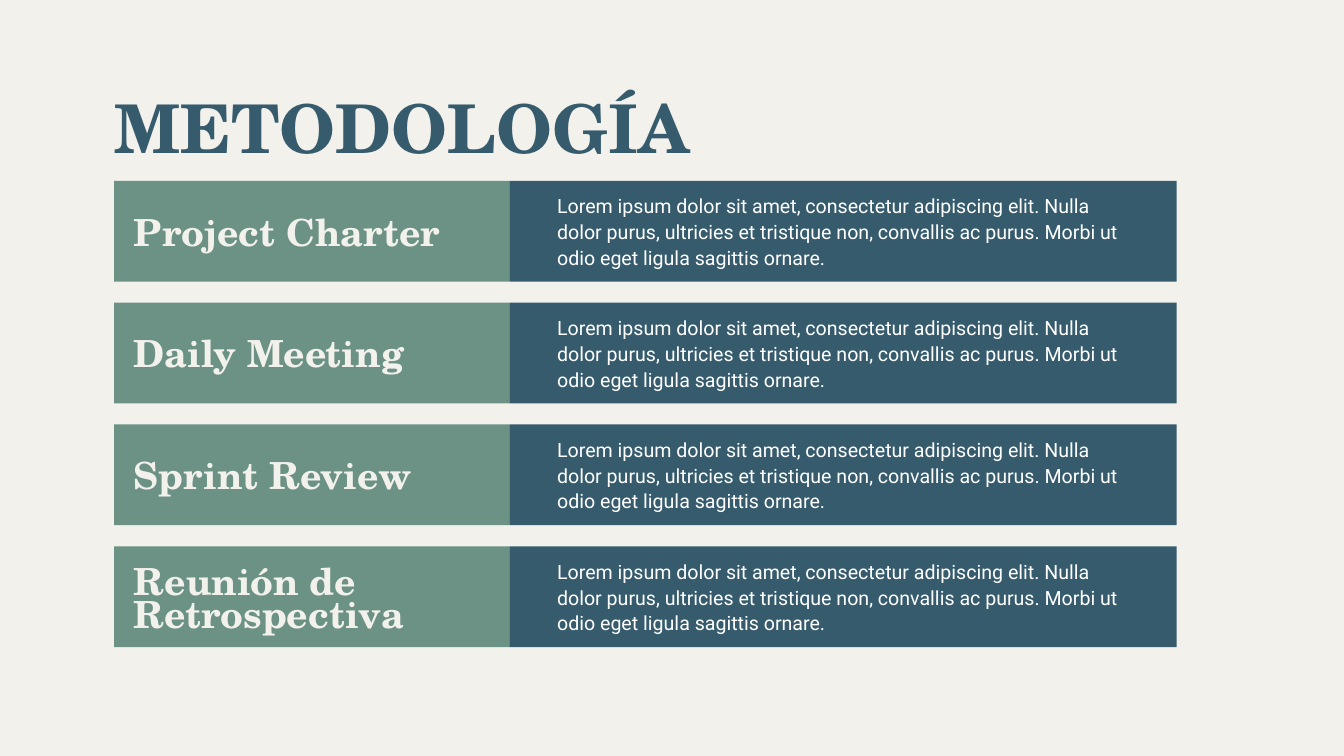
from pptx import Presentation
from pptx.dml.color import RGBColor
from pptx.enum.shapes import MSO_SHAPE
from pptx.enum.text import MSO_ANCHOR, MSO_AUTO_SIZE, PP_ALIGN
from pptx.util import Inches, Pt

CREAM, GREEN, BLUE, WHITE = "F2F1EC", "6C9286", "365B6D", "FFFFFF"
SERIF, SANS = "TeX Gyre Schola", "Roboto"

TITLE = dict(name=SERIF, size=Pt(72), bold=True)
LABEL = dict(name=SERIF, size=Pt(40), bold=True)
BODY = dict(name=SANS, size=Pt(21), bold=False)

# Row grid: left edge, top of the first row, distance between rows
LEFT, TOP, PITCH, ROW_H = 1.7, 2.69, 1.813, 1.5
LABEL_W, BODY_W = 5.88, 9.93

LOREM = ("Lorem ipsum dolor sit amet, consectetur adipiscing elit. Nulla dolor "
         "purus, ultricies et tristique non, convallis ac purus. Morbi ut odio "
         "eget ligula sagittis ornare.")
# Label, its offset from the row top, its height
ROWS = [
    ("Project Charter", 0.59, 0.54),
    ("Daily Meeting", 0.59, 0.54),
    ("Sprint Review", 0.59, 0.54),
    ("Reunión de Retrospectiva", 0.35, 1.03),
]


def rgb(value):
    return RGBColor.from_string(value)


def write(sp, text, font, color, spacing):
    tf = sp.text_frame
    frame = dict(word_wrap=True, auto_size=MSO_AUTO_SIZE.NONE,
                 vertical_anchor=MSO_ANCHOR.TOP, margin_left=0,
                 margin_top=0, margin_right=0, margin_bottom=0)
    for key, value in frame.items():
        setattr(tf, key, value)
    p = tf.paragraphs[0]
    p.alignment = PP_ALIGN.LEFT
    p.line_spacing = Pt(spacing)
    r = p.add_run()
    r.text = text
    for key, value in font.items():
        setattr(r.font, key, value)
    r.font.color.rgb = rgb(color)


def add_title(s, text):
    sp = s.shapes.title
    place = dict(left=LEFT, top=1.59, width=10.16, height=0.97)
    for key, value in place.items():
        setattr(sp, key, Inches(value))
    write(sp, text, TITLE, BLUE, 64.1)


def add_panel(s, x, y, w, color):
    sp = s.shapes.add_shape(MSO_SHAPE.RECTANGLE, Inches(x), Inches(y),
                            Inches(w), Inches(ROW_H))
    sp.shadow.inherit = False
    sp.fill.solid()
    sp.fill.fore_color.rgb = rgb(color)
    sp.line.fill.background()


def add_text(s, x, y, w, h, text, font, color, spacing):
    sp = s.shapes.add_textbox(Inches(x), Inches(y), Inches(w), Inches(h))
    write(sp, text, font, color, spacing)


def add_row(s, y, label, offset, height):
    add_panel(s, LEFT, y, LABEL_W, GREEN)
    add_text(s, LEFT + 0.29, y + offset, 5.3, height, label, LABEL, CREAM, 35.6)
    add_panel(s, LEFT + LABEL_W, y, BODY_W, BLUE)
    add_text(s, 8.29, y + 0.17, 8.51, 1.12, LOREM, BODY, WHITE, 27.5)


def main():
    prs = Presentation()
    prs.slide_width, prs.slide_height = Inches(20), Inches(11.25)
    s = prs.slides.add_slide(prs.slide_layouts[5])
    s.background.fill.solid()
    s.background.fill.fore_color.rgb = rgb(CREAM)

    add_title(s, "METODOLOGÍA")
    # One row for each step of the method
    for i, (label, offset, height) in enumerate(ROWS):
        add_row(s, TOP + i * PITCH, label, offset, height)

    prs.save("out.pptx")


if __name__ == "__main__":
    main()
